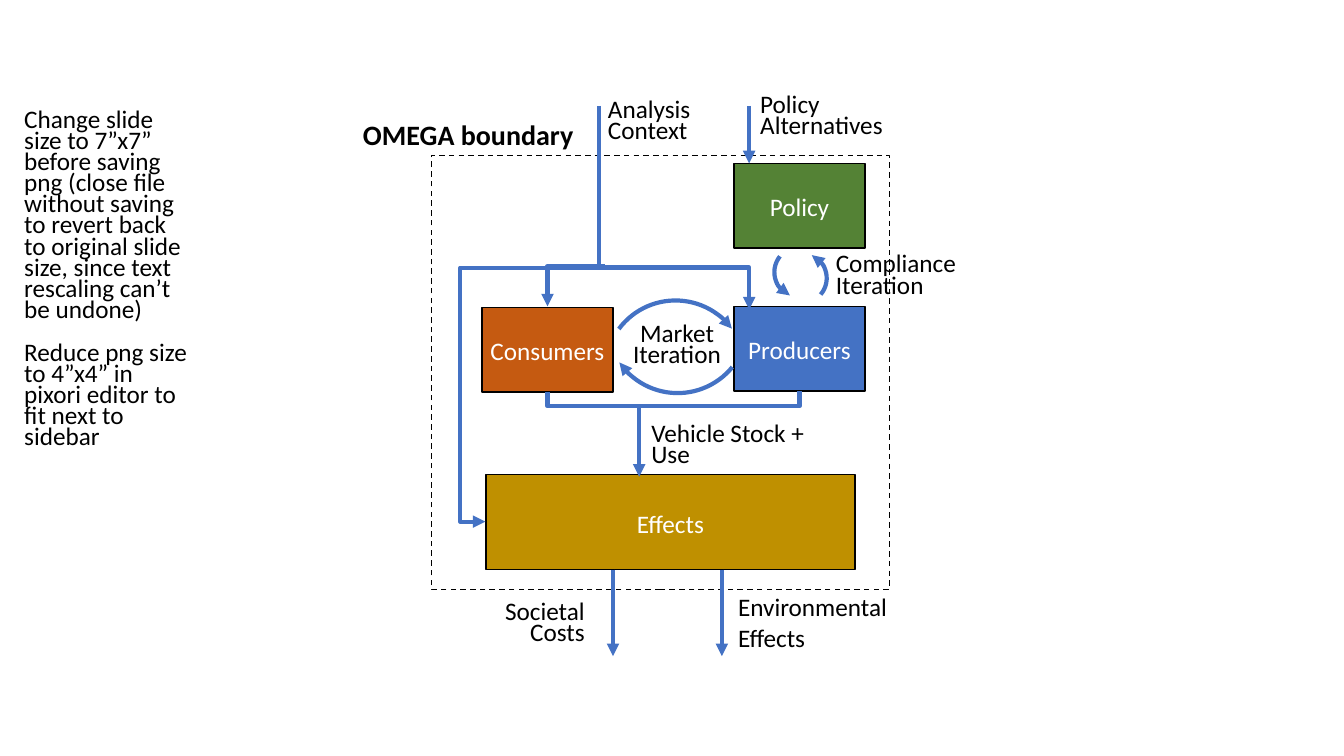
from lxml.etree import SubElement
from pptx import Presentation
from pptx.dml.color import RGBColor
from pptx.enum.dml import MSO_LINE_DASH_STYLE as Dash
from pptx.enum.shapes import MSO_CONNECTOR as Link, MSO_SHAPE as Shape
from pptx.enum.text import MSO_ANCHOR as Anchor, MSO_AUTO_SIZE as Fit, PP_ALIGN as Align
from pptx.oxml.ns import qn
from pptx.util import Inches, Pt

COLORS = {"flow": "4472C4", "black": "000000", "white": "FFFFFF", "consumers": "C55A11",
          "producers": "4472C4", "effects": "BF9000", "policy": "548235"}
COLUMNS, ROWS = 13.33, 7.5
MODULE = (1.3, 0.84)
LEFT, CENTER, RIGHT = Align.LEFT, Align.CENTER, Align.RIGHT
TIGHT, LOOSE = 0.7, 1.07

MODULES = [
    ("Consumers", "consumers", (4.78, 3.05, *MODULE)),
    ("Producers", "producers", (7.28, 3.04, *MODULE)),
    ("Effects", "effects", (4.82, 4.71, 3.66, 0.94)),
    ("Policy", "policy", (7.28, 1.62, *MODULE)),
]
BOUNDARY = ("OMEGA boundary", (3.58, 1.19, 2.33, 0.34), (4.28, 1.54, 4.54, 4.31))
NOTE_AREA = (0.24, 0.91, 1.65, 3.75)
NOTE = [
    "Change slide size to 7”x7” before saving png (close file without saving to revert "
    "back to original slide size, since text rescaling can’t be undone)",
    "Reduce png size to 4”x4” in pixori editor to fit next to sidebar",
]
LABELS = [
    (["Environmental", "Effects"], (7.32, 5.88, 2.11, 0.66), LEFT, [TIGHT, LOOSE]),
    (["Societal", "Costs"], (3.69, 5.87, 2.11, 0.66), RIGHT, [TIGHT] * 2),
    (["Policy Alternatives"], (7.54, 0.95, 1.76, 0.44), LEFT, [TIGHT]),
    (["Analysis Context"], (6.03, 1.01, 1.65, 0.42), LEFT, [TIGHT]),
    (["Vehicle Stock +", "Use"], (6.46, 4.15, 2.69, 0.57), LEFT, [TIGHT] * 2),
    (["Compliance", "Iteration"], (8.29, 2.53, 1.3, 0.44), LEFT, [TIGHT] * 2),
    (["Market", "Iteration"], (6.11, 3.22, 1.21, 0.44), CENTER, [TIGHT] * 2),
]
VERTICAL_FLOWS = [
    (7.16, 5.65, 6.51, True),
    (6.08, 5.65, 6.51, True),
    (6.34, 4.02, 4.73, True),
    (5.94, 1.05, 2.68, False),
    (7.43, 1.05, 1.62, True),
]
BENT_FLOWS = [
    ("bentConnector2", (5.43, 2.64, 0.57, 0.4), 180, "flipV", [], True),
    ("bentConnector2", (5.43, 3.89, 0.91, 0.14), 180, None, [], False),
    ("bentConnector2", (6.28, 3.88, 1.65, 0.15), 0, "flipV", [], False),
    ("bentConnector4", (4.12, 3.36, 2.51, 1.12), 90, None, [-400, 122300], True),
    ("bentConnector3", (6.46, 2.1, 0.43, 1.51), 270, "flipH", [3100], True),
]
ITERATION_ARCS = [
    (6, 2.98, 1.4, 306.6, False),
    (6.02, 2.5, 1.4, 129.1, False),
    (7.68, 2.45, 0.5, 128.9, True),
    (7.7, 2.51, 0.5, 310.5, True),
]
ARC_SPAN = (162, 9.876)


def color(name):
    return RGBColor.from_string(COLORS[name])


def grid(area):
    return [Inches(cells) for cells in area]


def write(frame, lines, spacings, align=LEFT, ink="black", size=18, bold=False, inset=0):
    frame.text = "\n".join(lines)
    frame.word_wrap = True
    frame.auto_size = Fit.NONE
    frame.vertical_anchor = Anchor.MIDDLE
    frame.margin_left = frame.margin_right = Inches(inset)
    frame.margin_top = frame.margin_bottom = Inches(inset)
    for line, spacing in zip(frame.paragraphs, spacings):
        line.alignment = align
        line.line_spacing = spacing
        line.space_before = line.space_after = Pt(0)
        font = line.runs[0].font
        font.name, font.size, font.bold = "Calibri", Pt(size), bold
        font.color.rgb = color(ink)


def outline(item, name, width):
    item.line.color.rgb = color(name)
    item.line.width = Pt(width)


def arrow(item):
    SubElement(item.line._get_or_add_ln(), qn("a:tailEnd"), type="triangle")


def add_flow(shapes, kind, ends, pointed):
    flow = shapes.add_connector(kind, *grid(ends))
    outline(flow, "flow", 3)
    if pointed:
        arrow(flow)
    SubElement(flow._element.spPr, qn("a:effectLst"))
    return flow


def add_bent(shapes, preset, area, turn, flip, bends, pointed):
    left, top, width, height = area
    flow = add_flow(shapes, Link.ELBOW, (left, top, left + width, top + height), pointed)
    properties = flow._element.spPr
    frame = properties.find(qn("a:xfrm"))
    frame.set("rot", str(turn * 60000))
    if flip:
        frame.set(flip, "1")
    geometry = properties.find(qn("a:prstGeom"))
    geometry.set("prst", preset)
    guides = geometry.find(qn("a:avLst"))
    for number, bend in enumerate(bends, 1):
        SubElement(guides, qn("a:gd"), name=f"adj{number}", fmla=f"val {bend}")


def add_arc(shapes, left, top, side, turn, flipped):
    arc = shapes.add_shape(Shape.ARC, *grid((left, top, side, side)))
    arc.shadow.inherit = False
    arc.fill.background()
    arc.adjustments[0], arc.adjustments[1] = ARC_SPAN
    arc.rotation = turn
    if flipped:
        arc._element.spPr.find(qn("a:xfrm")).set("flipV", "1")
    outline(arc, "flow", 3)
    arrow(arc)


def add_box(shapes, area):
    box = shapes.add_shape(Shape.RECTANGLE, *grid(area))
    box.shadow.inherit = False
    outline(box, "black", 1)
    return box


def place(holder, area):
    holder.left, holder.top, holder.width, holder.height = grid(area)


def main():
    deck = Presentation()
    deck.slide_width, deck.slide_height = Inches(COLUMNS), Inches(ROWS)
    slide = deck.slides.add_slide(deck.slide_layouts[1])
    shapes = slide.shapes

    heading, heading_area, boundary_area = BOUNDARY
    place(shapes.title, heading_area)
    write(shapes.title.text_frame, [heading], [0.8], size=20, bold=True, inset=0.02)

    note = slide.placeholders[1]
    place(note, NOTE_AREA)
    write(note.text_frame, NOTE, [TIGHT] * len(NOTE))
    for advice in note.text_frame.paragraphs:
        layout = advice._p.get_or_add_pPr()
        layout.set("marL", "0")
        layout.set("indent", "0")
        SubElement(layout, qn("a:buNone"))
    note.text_frame.paragraphs[1].space_before = Pt(15.4)

    for module, fill, area in MODULES:
        box = add_box(shapes, area)
        box.fill.solid()
        box.fill.fore_color.rgb = color(fill)
        write(box.text_frame, [module], [LOOSE], CENTER, "white", inset=0.02)

    boundary = add_box(shapes, boundary_area)
    boundary.fill.background()
    boundary.line.dash_style = Dash.DASH

    for x, start, end, pointed in VERTICAL_FLOWS:
        add_flow(shapes, Link.STRAIGHT, (x, start, x, end), pointed)
    for bent in BENT_FLOWS:
        add_bent(shapes, *bent)
    for arc in ITERATION_ARCS:
        add_arc(shapes, *arc)
    for lines, area, align, spacings in LABELS:
        write(shapes.add_textbox(*grid(area)).text_frame, lines, spacings, align)

    deck.save("out.pptx")


if __name__ == "__main__":
    main()
